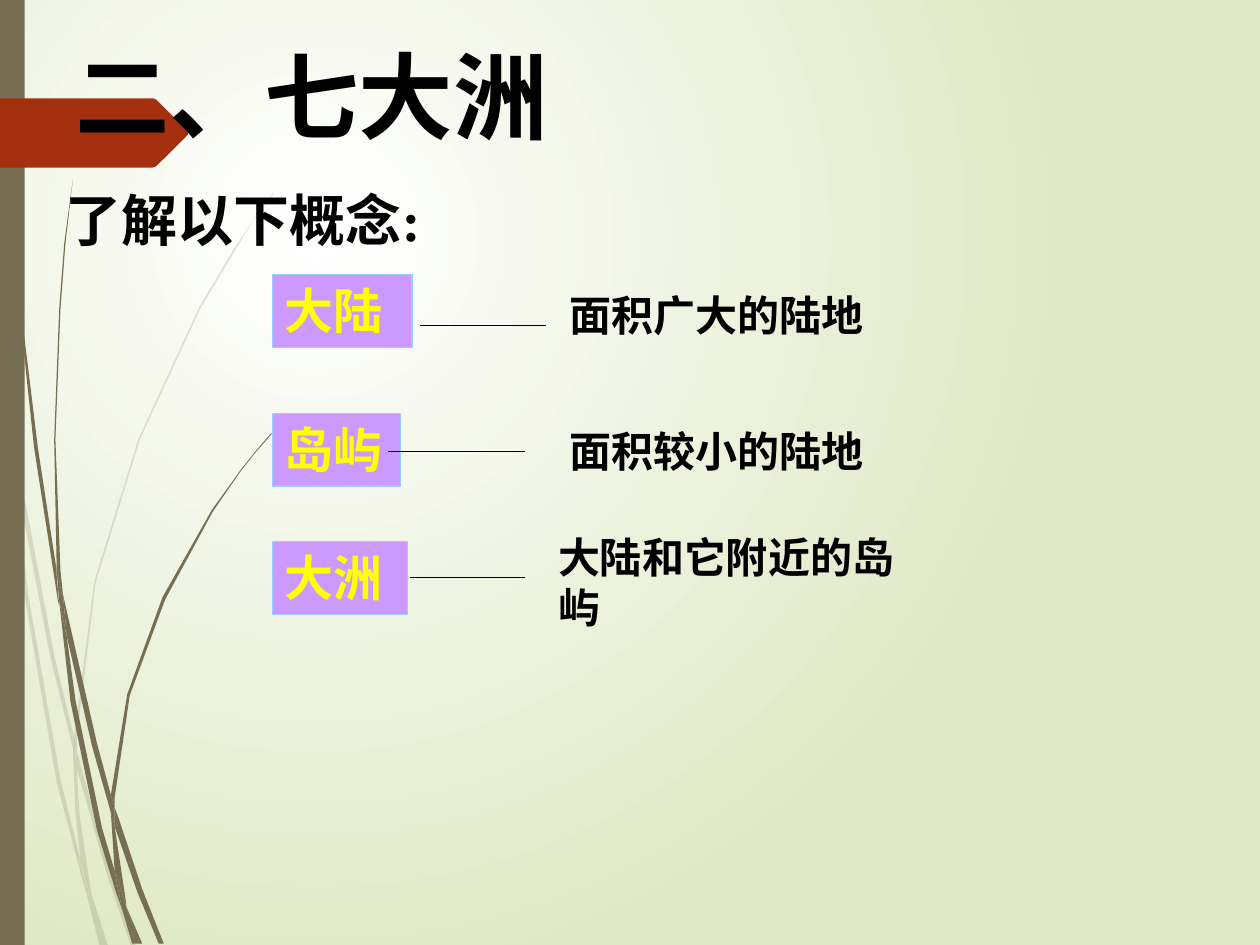
from dataclasses import dataclass
from typing import NamedTuple
from lxml.etree import SubElement
from pptx import Presentation
from pptx.dml.color import RGBColor
from pptx.enum.shapes import MSO_CONNECTOR as CONN, MSO_SHAPE as SHAPE
from pptx.enum.text import MSO_ANCHOR as ANCHOR, MSO_AUTO_SIZE as AUTO, PP_ALIGN as ALIGN
from pptx.oxml.ns import qn
from pptx.util import Cm, Pt

OLIVE, RUST, BLACK = "766F54", "A53010", "000000"
UNIT = Cm(0.0254)


class Box(NamedTuple):
    left: float
    top: float
    width: float
    height: float


@dataclass
class Label:
    text: str
    box: Box
    size: int
    font: str
    color: str = BLACK


@dataclass
class Concept:
    term: Label
    meaning: Label
    line_from: float
    line_to: float


PALE_STEMS = [
    "8 350 6 322 0 282 0 299 7 344",
    "40 522 59 599 59 586 43 520 10 345 12 376",
    "64 607 61 596 61 610 85 694 104 751 108 751 88 692",
    "83 751 86 751 73 711",
    "64 683 48 619 22 469 12 376 8 350 19 470 45 621 64 693 70 714 69 707",
    "58 599 60 646 64 683 67 692 73 711 72 706 63 646 61 610 61 608",
    "61 584 76 462 111 349 159 245 187 198 201 175 217 154 217 153 201 175 186 197 "
    "158 244 110 348 75 461 59 584 59 586 61 596",
    "70 714 79 751 82 751",
    "61 608 61 610 61 596 59 586 58 599",
    "67 692 65 683 69 707 70 714 82 751 83 751 73 711",
]
DARK_STEMS = [
    "5 110 14 233 27 355 46 477 47 481 45 457 45 453 30 355 15 232 6 109 4 48 3 0 2 0 3 48",
    "73 592 88 645 88 633 88 631 77 590 50 472 53 505",
    "94 649 91 641 91 656 109 708 126 749 130 749 113 706",
    "91 691 81 657 60 556 53 505 47 477 56 557 77 659 92 708 97 722 96 717",
    "50 472 48 453 44 349 48 245 52 193 58 141 51 193 47 245 43 349 45 449 49 472",
    "110 749 113 749 100 719",
    "47 477 53 505 50 472 49 472 45 449 45 453",
    "91 633 103 552 131 476 169 406 191 374 203 359 216 344 215 344 203 358 191 373 "
    "168 405 129 474 101 551 88 631 91 641",
    "97 722 105 749 108 749",
    "88 645 91 691 96 706 100 719 100 716 91 656 90 651",
    "88 645 90 651 91 656 91 641 88 631 88 633",
    "96 706 91 691 96 717 97 722 108 749 110 749 100 719",
]
MARKER = "0 78 121 78 124 79 149 104 149 107 124 132 121 133 0 133"

CONCEPTS = [
    Concept(Label("大陆", Box(5.49, 5.54, 2.82, 1.47), 28, "Times New Roman", "FFFF00"),
            Label("面积广大的陆地", Box(11.23, 5.72, 9.1, 1.27), 24, "DejaVu Sans"), 8.46, 11.0),
    Concept(Label("岛屿", Box(5.49, 8.33, 2.59, 1.47), 28, "Times New Roman", "FFFF00"),
            Label("面积较小的陆地", Box(11.23, 8.46, 9.96, 1.27), 24, "DejaVu Sans"), 7.82, 10.59),
    Concept(Label("大洲", Box(5.49, 10.92, 2.72, 1.47), 28, "Times New Roman", "FFFF00"),
            Label("大陆和它附近的岛屿", Box(11.0, 10.59, 7.62, 2.29), 24, "DejaVu Sans"), 8.26, 10.59),
]
LINE_TOP, LINE_STEP = 6.56, 2.54
INTRO = Label("了解以下概念:", Box(1.07, 3.61, 7.98, 1.6), 32, "Times New Roman")
TITLE = Label("二、七大洲", Box(1.27, 0.64, 11.0, 2.54), 54, "TeX Gyre Adventor")


def rgb(color: str) -> RGBColor:
    return RGBColor.from_string(color)


def paint(sp, fill: str, line: str = "", alpha: int = 100) -> None:
    sp.shadow.inherit = False
    sp.fill.solid()
    sp.fill.fore_color.rgb = rgb(fill)
    if alpha < 100:
        clr = sp._element.spPr.find(".//" + qn("a:srgbClr"))
        SubElement(clr, qn("a:alpha"), val=str(alpha * 1000))
    if line:
        sp.line.color.rgb = rgb(line)
        sp.line.width = Pt(0.75)
    else:
        sp.line.fill.background()


def draw_outline(shapes, outline: str, color: str, alpha: int = 100) -> None:
    nums = [int(n) * UNIT for n in outline.split()]
    first, *rest = zip(nums[::2], nums[1::2])
    builder = shapes.build_freeform(*first, scale=1.0)
    builder.add_line_segments(rest, close=True)
    paint(builder.convert_to_shape(), color, alpha=alpha)


def write(sp, label: Label) -> None:
    tf = sp.text_frame
    p = tf.paragraphs[0]
    r = p.add_run()
    r.text = label.text
    formats = (
        (tf, {"word_wrap": True, "auto_size": AUTO.SHAPE_TO_FIT_TEXT, "vertical_anchor": ANCHOR.TOP}),
        (p, {"alignment": ALIGN.LEFT}),
        (r.font, {"size": Pt(label.size), "name": label.font, "bold": True}),
    )
    for target, values in formats:
        for name, value in values.items():
            setattr(target, name, value)
    r.font.color.rgb = rgb(label.color)


def draw_text(shapes, label: Label) -> None:
    write(shapes.add_textbox(*map(Cm, label.box)), label)


def draw_term(shapes, label: Label) -> None:
    sp = shapes.add_shape(SHAPE.RECTANGLE, *map(Cm, label.box))
    paint(sp, "CC99FF", "99CCFF")
    write(sp, label)


def draw_line(shapes, left: float, right: float, top: float) -> None:
    cx = shapes.add_connector(CONN.STRAIGHT, Cm(left), Cm(top), Cm(right), Cm(top))
    cx.line.color.rgb = rgb(BLACK)
    cx.line.width = Pt(0.75)
    SubElement(cx._element.spPr, qn("a:effectLst"))


def draw_background(s) -> None:
    fill = s.background.fill
    fill.gradient()
    for stop, color in zip(fill.gradient_stops, ("FFFFFF", "DFE8C4")):
        stop.color.rgb = rgb(color)
    grad = s._element.find(".//" + qn("a:gradFill"))
    grad.remove(grad.find(qn("a:lin")))
    circle = SubElement(grad, qn("a:path"), path="circle")
    SubElement(circle, qn("a:fillToRect"), l="50000", t="50000", r="100000", b="100000")


prs = Presentation()
prs.slide_width, prs.slide_height = Cm(25.4), Cm(19.05)
s = prs.slides.add_slide(prs.slide_layouts[6])
draw_background(s)
for stems, opacity in ((PALE_STEMS, 20), (DARK_STEMS, 100)):
    group = s.shapes.add_group_shape()
    for stem in stems:
        draw_outline(group.shapes, stem, OLIVE, opacity)
paint(s.shapes.add_shape(SHAPE.RECTANGLE, 0, 0, Cm(0.5), prs.slide_height), OLIVE)
draw_outline(s.shapes, MARKER, RUST)
draw_text(s.shapes, INTRO)
for concept in CONCEPTS:
    draw_term(s.shapes, concept.term)
for row, concept in enumerate(CONCEPTS):
    draw_line(s.shapes, concept.line_from, concept.line_to, LINE_TOP + row * LINE_STEP)
for concept in CONCEPTS:
    draw_text(s.shapes, concept.meaning)
draw_text(s.shapes, TITLE)
prs.save("out.pptx")
